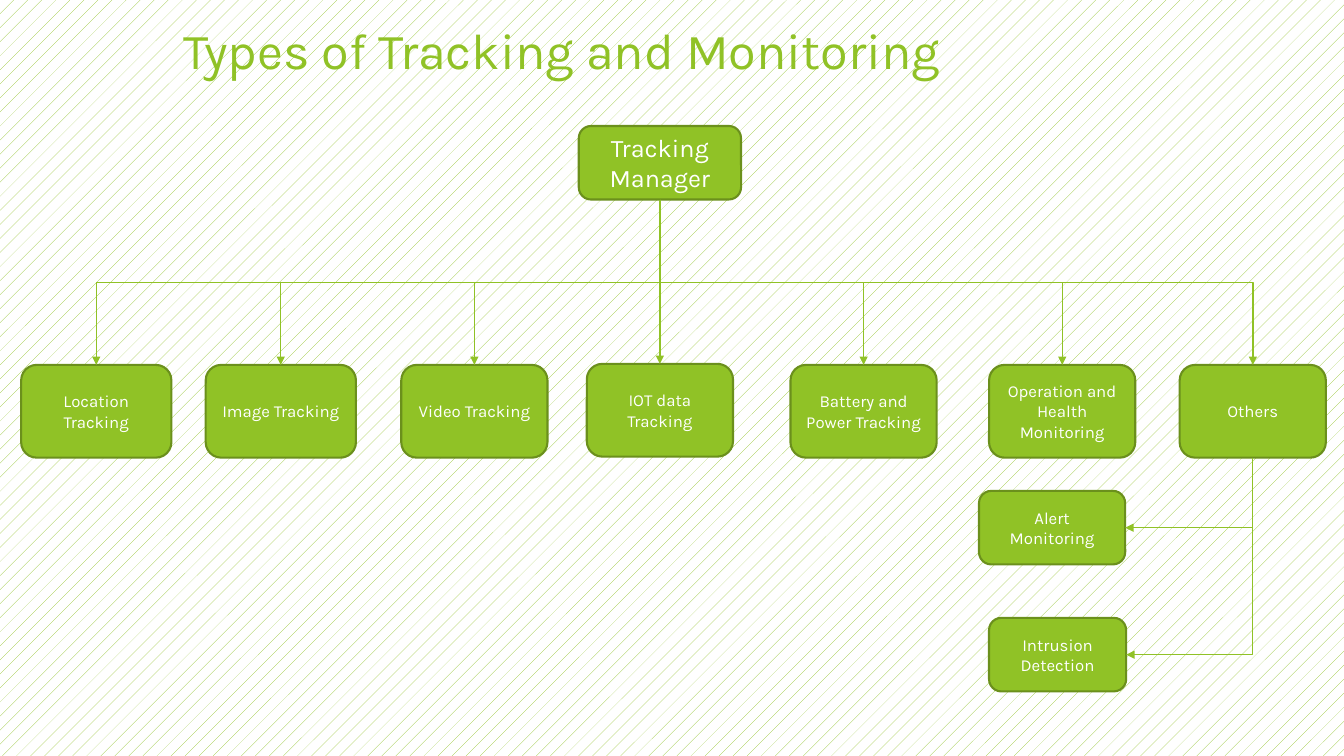
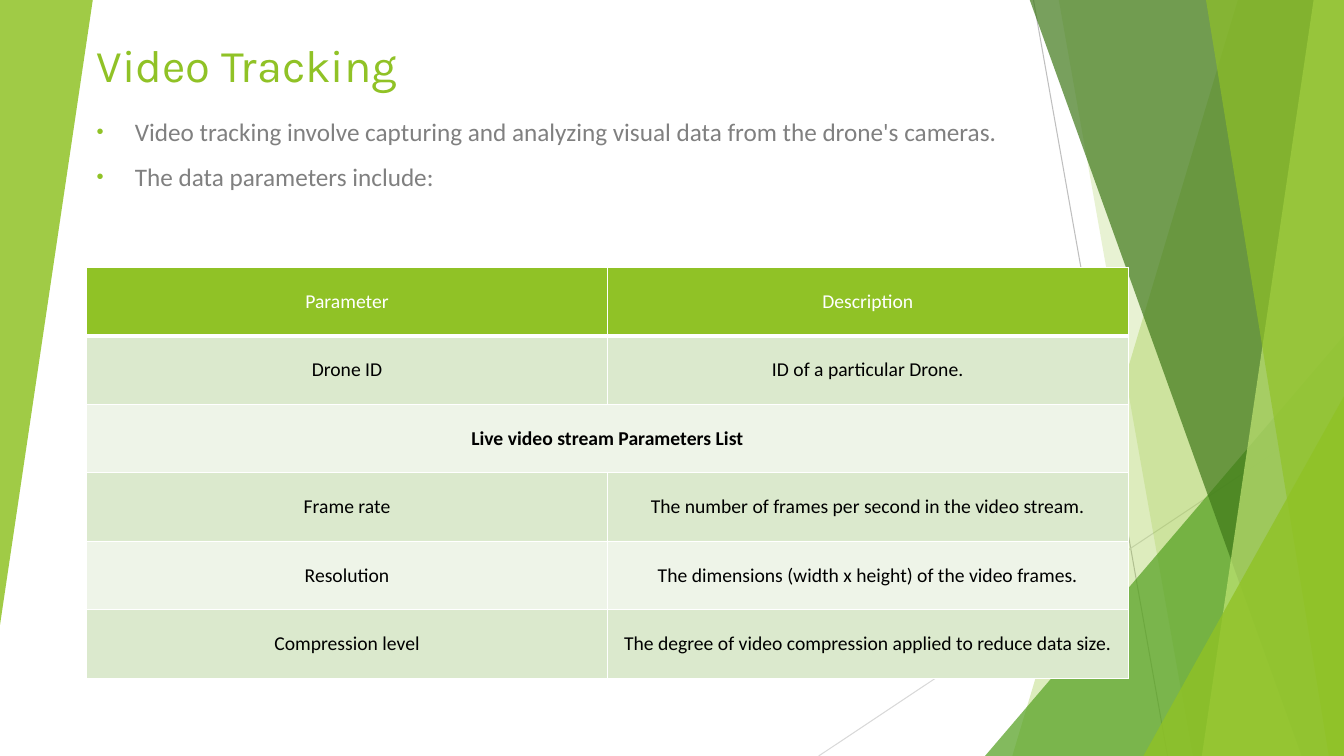
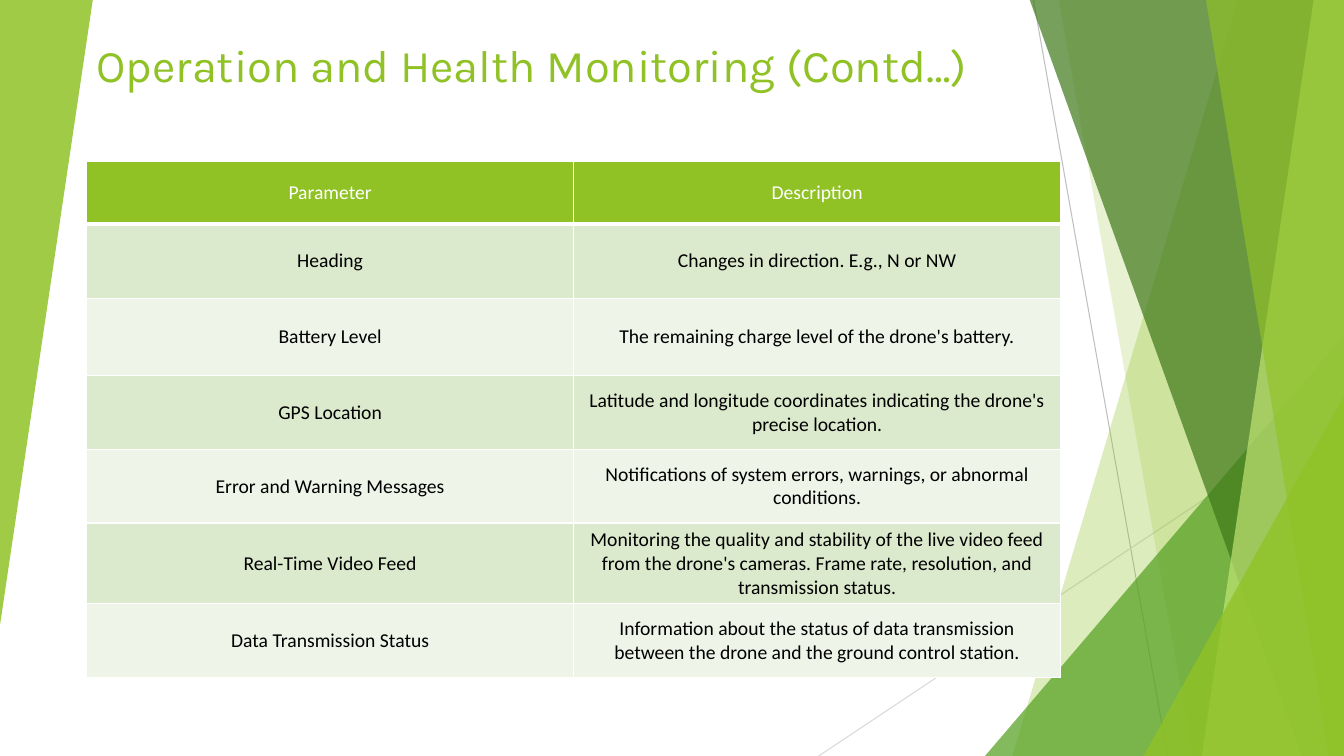
from lxml import etree
from pptx import Presentation
from pptx.dml.color import RGBColor
from pptx.enum import dml, shapes, text
from pptx.oxml.ns import qn
from pptx.util import Inches, Pt

GREEN, EDGE, WHITE, BLACK, GREY = "90C226", "6B901C", "FFFFFF", "000000", "808080"
BANDS = ("DBE9CD", "EEF4E8")
HEAD, BODY = "Karla", "Calibri"
WIDE, HIGH = 13.33, 7.5
CENTER, RIGHT = text.PP_ALIGN.CENTER, text.PP_ALIGN.RIGHT

# Outlines of the right-hand facets: top left x, bottom left x, colour, opacity
REAR = [(12.28, 10.04, GREEN, 30), (10.5, 11.83, GREEN, 20)]
FRONT = [(10.21, 12.91, "3F7819", 70), (13.03, 11.92, "C0E474", 70),
         (11.96, 13.18, GREEN, 65)]

KINDS = [
    ("Location Tracking", 0.21, 3.62, 1.49),
    ("Image Tracking", 2.04, 3.62, 1.49),
    ("Video Tracking", 3.98, 3.62, 1.45),
    ("IOT data Tracking", 5.82, 3.61, 1.45),
    ("Battery and Power Tracking", 7.84, 3.62, 1.45),
    ("Operation and Health Monitoring", 9.81, 3.62, 1.45),
    ("Others", 11.7, 3.62, 1.45),
]
EXTRAS = [("Alert Monitoring", 9.71, 4.87, 1.45),
          ("Intrusion Detection", 9.81, 6.13, 1.36)]

POINTS = [
    "Video tracking involve capturing and analyzing visual data from the drone's cameras.",
    "The data parameters include:",
]
VIDEO = [
    ("Parameter", "Description"),
    ("Drone ID", "ID of a particular Drone."),
    ("Live video stream Parameters List",),
    ("Frame rate", "The number of frames per second in the video stream."),
    ("Resolution", "The dimensions (width x height) of the video frames."),
    ("Compression level", "The degree of video compression applied to reduce data size."),
]
HEALTH = [
    ("Parameter", "Description"),
    ("Heading", "Changes in direction. E.g., N or NW"),
    ("Battery Level", "The remaining charge level of the drone's battery."),
    ("GPS Location",
     "Latitude and longitude coordinates indicating the drone's precise location."),
    ("Error and Warning Messages",
     "Notifications of system errors, warnings, or abnormal conditions."),
    ("Real-Time Video Feed",
     "Monitoring the quality and stability of the live video feed from the drone's "
     "cameras. Frame rate, resolution, and transmission status."),
    ("Data Transmission Status",
     "Information about the status of data transmission between the drone and the "
     "ground control station."),
]


def paint(fmt, color, alpha=100):
    """Give a fill a solid colour, with opacity in percent."""
    fmt.solid()
    fmt.fore_color.rgb = RGBColor.from_string(color)
    if alpha < 100:
        tint = fmt._xPr.find(".//" + qn("a:srgbClr"))
        etree.SubElement(tint, qn("a:alpha"), val=str(alpha * 1000))


def style(para, size, color, font=HEAD, align=None, bold=False):
    para.alignment = align
    for run in para.runs:
        run.font.size = Pt(size)
        run.font.name = font
        run.font.bold = bold
        run.font.color.rgb = RGBColor.from_string(color)


def textbox(slide, x, y, w, h):
    frame = slide.shapes.add_textbox(*map(Inches, (x, y, w, h))).text_frame
    frame.word_wrap = True
    return frame


def title(slide, words, x, y, w, h, size=32.4, align=None):
    frame = textbox(slide, x, y, w, h)
    frame.vertical_anchor = text.MSO_ANCHOR.BOTTOM
    frame.text = words
    style(frame.paragraphs[0], size, GREEN, align=align)


def bullets(slide, items, x, y, w, h):
    frame = textbox(slide, x, y, w, h)
    frame.text = "\n".join(items)
    for para in frame.paragraphs:
        style(para, 18, GREY, BODY)
        para.space_before = Pt(10)
        props = para._p.get_or_add_pPr()
        props.set("marL", str(Inches(0.38)))
        props.set("indent", str(-Inches(0.38)))
        tint = etree.SubElement(props, qn("a:buClr"))
        etree.SubElement(tint, qn("a:srgbClr"), val=GREEN)
        etree.SubElement(props, qn("a:buSzPct"), val="80000")
        etree.SubElement(props, qn("a:buFont"), typeface="Arial")
        etree.SubElement(props, qn("a:buChar"), char="•")


def rule(cell, side, width):
    """Draw one white cell border; side indexes L, R, T, B."""
    props = cell._tc.get_or_add_tcPr()
    line = etree.Element(qn("a:ln" + "LRTB"[side]), w=str(Pt(width)))
    fill = etree.SubElement(line, qn("a:solidFill"))
    etree.SubElement(fill, qn("a:srgbClr"), val=WHITE)
    props.insert(side, line)


def table(slide, rows, x, y, w, heights):
    grid = slide.shapes.add_table(
        len(rows), 2, *map(Inches, (x, y, w, sum(heights)))).table
    for r, (row, high) in enumerate(zip(rows, heights)):
        grid.rows[r].height = Inches(high)
        whole = len(row) == 1
        if whole:
            grid.cell(r, 0).merge(grid.cell(r, 1))
        for c in range(2):
            cell = grid.cell(r, c)
            paint(cell.fill, BANDS[(r - 1) % 2] if r else GREEN)
            for side, width in enumerate((1, 1, 3 if r == 1 else 1, 1 if r else 3)):
                rule(cell, side, width)
            if c < len(row):
                cell.text = row[c]
                cell.vertical_anchor = text.MSO_ANCHOR.MIDDLE
                style(cell.text_frame.paragraphs[0], 14, BLACK if r else WHITE,
                      BODY, CENTER, whole)


def connector(slide, kind, ends, color, width):
    line = slide.shapes.add_connector(kind, *map(Inches, ends))
    line.line.width = Pt(width)
    paint(line.line.fill, color)
    etree.SubElement(line._element.spPr, qn("a:effectLst"))
    return line


def link(slide, start, end, site):
    """Run an arrow from the bottom of one box to a site of another."""
    middle = start.left + start.width // 2
    straight = site == 0 and abs(middle - end.left - end.width // 2) < Inches(0.02)
    kind = shapes.MSO_CONNECTOR.STRAIGHT if straight else shapes.MSO_CONNECTOR.ELBOW
    line = connector(slide, kind, (0, 0, 1, 1), GREEN, 1)
    line.begin_connect(start, 2)
    line.end_connect(end, site)
    etree.SubElement(line.line._get_or_add_ln(), qn("a:tailEnd"), type="triangle")
    if not straight:
        turn(line, "bentConnector3" if site == 0 else "bentConnector2")


def turn(line, preset):
    """Rotate an elbow so that it leaves its start downwards."""
    x1, y1, x2, y2 = line.begin_x, line.begin_y, line.end_x, line.end_y
    wide, high = y2 - y1, abs(x2 - x1)
    props = line._element.spPr
    frame = props.find(qn("a:xfrm"))
    for flip in ("flipH", "flipV"):
        frame.attrib.pop(flip, None)
    line.left, line.top = (x1 + x2 - wide) // 2, (y1 + y2 - high) // 2
    line.width, line.height = wide, high
    frame.set("rot", str((90 if x2 < x1 else 270) * 60000))
    if x2 > x1:
        frame.set("flipH", "1")
    props.find(qn("a:prstGeom")).set("prst", preset)


def node(slide, words, x, y, w, h, size=12):
    box = slide.shapes.add_shape(
        shapes.MSO_SHAPE.ROUNDED_RECTANGLE, *map(Inches, (x, y, w, h)))
    box.shadow.inherit = False
    paint(box.fill, GREEN)
    paint(box.line.fill, EDGE)
    box.line.width = Pt(1.5)
    frame = box.text_frame
    frame.text = words
    frame.vertical_anchor = text.MSO_ANCHOR.MIDDLE
    style(frame.paragraphs[0], size, WHITE, align=CENTER)
    return box


def facet(slide, top, base, color, alpha):
    """Fill from a slanted left edge to the right edge of the slide."""
    dots = [(Inches(x), Inches(y)) for x, y in
            ((top, -0.01), (WIDE, -0.01), (WIDE, HIGH), (base, HIGH))]
    draft = slide.shapes.build_freeform(*dots[0], scale=1.0)
    draft.add_line_segments(dots[1:], close=True)
    finish(draft.convert_to_shape(), color, alpha)


def wedge(slide, x, y, w, h, color, alpha, angle=0):
    shape = slide.shapes.add_shape(
        shapes.MSO_SHAPE.ISOSCELES_TRIANGLE, *map(Inches, (x, y, w, h)))
    shape.adjustments[0] = 1.0
    shape.rotation = angle
    finish(shape, color, alpha)


def finish(shape, color, alpha):
    shape.shadow.inherit = False
    paint(shape.fill, color, alpha)
    shape.line.fill.background()


def backdrop(slide):
    plain = shapes.MSO_CONNECTOR.STRAIGHT
    connector(slide, plain, (10.25, 0, 11.58, HIGH), "BFBFBF", 0.75)
    connector(slide, plain, (WIDE, 4.03, 8.12, HIGH), "D9D9D9", 0.75)
    for part in REAR:
        facet(slide, *part)
    wedge(slide, 9.77, 3.33, 3.56, 4.17, "54A021", 72)
    for part in FRONT:
        facet(slide, *part)
    wedge(slide, 11.34, 3.93, 1.99, 3.57, GREEN, 80)
    wedge(slide, 0, 0, 0.92, 6.2, GREEN, 85, 180)


def blank(deck):
    return deck.slides.add_slide(deck.slide_layouts[6])


def chart(deck):
    """Add the slide with the tree of tracking types."""
    slide = blank(deck)
    fill = slide.background.fill
    fill.patterned()
    fill.pattern = dml.MSO_PATTERN.PERCENT_5
    fill.fore_color.rgb = RGBColor.from_string(GREEN)
    fill.back_color.rgb = RGBColor.from_string(WHITE)
    title(slide, "Types of Tracking and Monitoring", 0.37, 0.11, 9.06, 0.73, 36, RIGHT)
    root = node(slide, "Tracking Manager", 5.74, 1.25, 1.61, 0.73, 18)
    kinds = [node(slide, *kind, 0.92) for kind in KINDS]
    extras = [node(slide, *extra, 0.73) for extra in EXTRAS]
    for kind in kinds:
        link(slide, root, kind, 0)
    for extra in extras:
        link(slide, kinds[-1], extra, 3)


def detail(deck, words, wide):
    """Add a slide with the facets and a title."""
    slide = blank(deck)
    backdrop(slide)
    title(slide, words, 0.86, 0.3, wide, 0.66)
    return slide


def main():
    deck = Presentation()
    deck.slide_width, deck.slide_height = Inches(WIDE), Inches(HIGH)
    chart(deck)
    video = detail(deck, "Video Tracking", 9.06)
    bullets(video, POINTS, 0.86, 1.11, 12.85, 2.8)
    table(video, VIDEO, 0.86, 2.65, 10.33, [0.68] * 6)
    health = detail(deck, "Operation and Health Monitoring (Contd…)", 9.52)
    table(health, HEALTH, 0.86, 1.6, 9.66, [0.62, 0.74, 0.77] + [0.73] * 4)
    deck.save("out.pptx")


if __name__ == "__main__":
    main()
